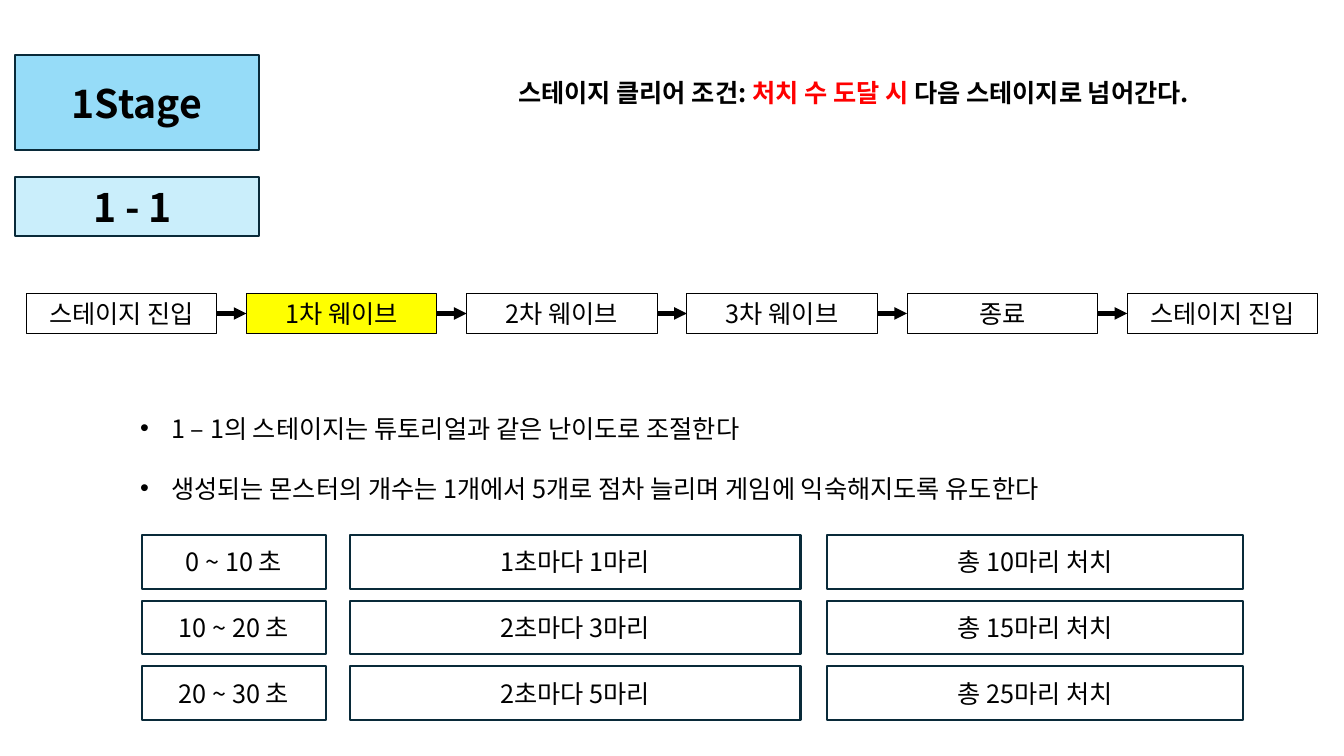
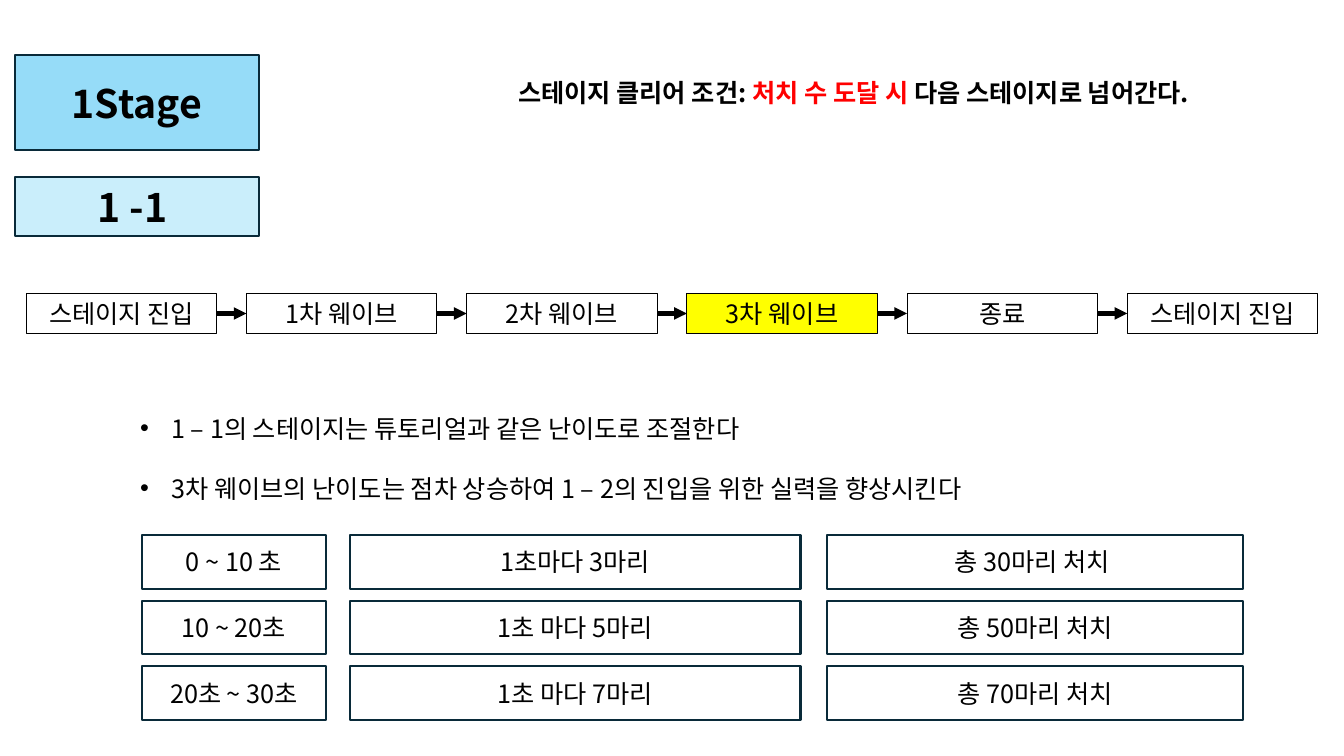
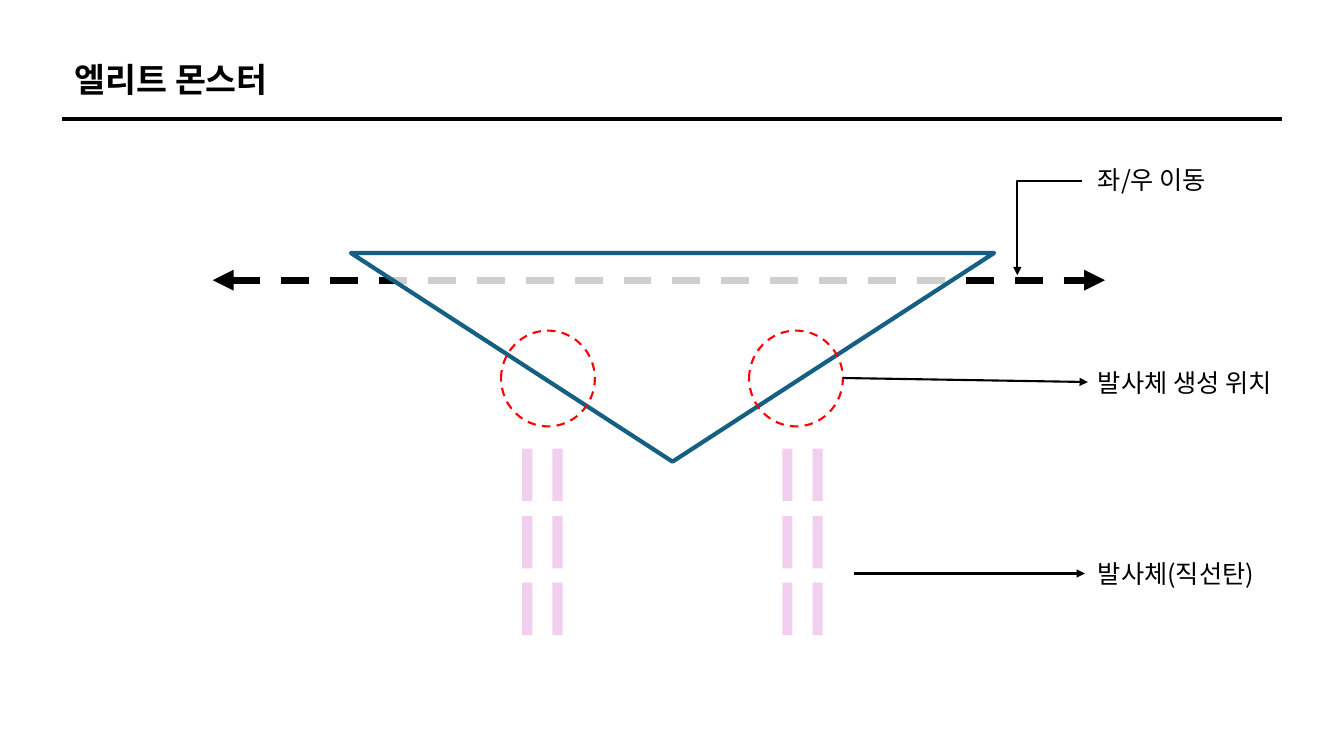
from lxml import etree
from pptx import Presentation
from pptx.dml.color import RGBColor
from pptx.enum.dml import MSO_LINE as Dash
from pptx.enum.shapes import MSO_CONNECTOR as Link, MSO_SHAPE as Kind
from pptx.enum.text import MSO_ANCHOR as Anchor, MSO_AUTO_SIZE as Fit, PP_ALIGN as Align
from pptx.oxml.ns import qn
from pptx.util import Inches, Pt

FONT = "Noto Sans CJK KR"
COLORS = {
    "black": "000000", "white": "FFFFFF", "red": "FF0000", "yellow": "FFFF00",
    "sky": "96DCF8", "pale": "CAEEFB", "navy": "092A39", "teal": "156082",
    "pink": "F2CFEE",
}


def color(name):
    return RGBColor.from_string(COLORS[name])


class Deck:
    """Holds the shared style and the current slide."""

    def __init__(self):
        self.prs = Presentation()
        self.prs.slide_width, self.prs.slide_height = Inches(13.33), Inches(7.5)
        self.slide = None

    def start(self):
        self.slide = self.prs.slides.add_slide(self.prs.slide_layouts[5])

    def style(self, frame, size, bold, align, anchor=Anchor.MIDDLE):
        frame.word_wrap = True
        frame.auto_size = Fit.NONE
        frame.vertical_anchor = anchor
        for para in frame.paragraphs:
            para.alignment = align
            for run in para.runs:
                font = run.font
                font.size, font.bold, font.name = Pt(size), bold, FONT
                font.color.rgb = color("black")
                east = etree.SubElement(run._r.get_or_add_rPr(), qn("a:ea"))
                east.set("typeface", FONT)

    def paint(self, shape, fill=None, line=None, width=1.5, dash=None):
        if fill:
            shape.fill.solid()
            shape.fill.fore_color.rgb = color(fill)
        else:
            shape.fill.background()
        if line:
            shape.line.color.rgb = color(line)
            shape.line.width = Pt(width)
            if dash:
                shape.line.dash_style = dash
        else:
            shape.line.fill.background()

    def title(self, text, box, size, align=Align.LEFT, fill=None, line=None):
        shape = self.slide.shapes.title
        shape.left, shape.top, shape.width, shape.height = map(Inches, box)
        shape.text_frame.text = text
        self.style(shape.text_frame, size, True, align)
        self.paint(shape, fill, line)

    def shape(self, box, fill=None, line=None, width=1.5, dash=None, kind=Kind.RECTANGLE):
        shape = self.slide.shapes.add_shape(kind, *map(Inches, box))
        shape.shadow.inherit = False
        self.paint(shape, fill, line, width, dash)
        return shape

    def box(self, text, box, fill=None, line="navy", width=1.5, size=18, bold=False):
        shape = self.shape(box, fill, line, width)
        shape.text_frame.text = text
        self.style(shape.text_frame, size, bold, Align.CENTER)
        return shape

    def label(self, parts, box, bold=False):
        """Writes one line from (text, colour) parts."""
        shape = self.slide.shapes.add_textbox(*map(Inches, box))
        para = shape.text_frame.paragraphs[0]
        for text, _ in parts:
            para.add_run().text = text
        self.style(shape.text_frame, 18, bold, Align.LEFT)
        for run, (_, tone) in zip(para.runs, parts):
            run.font.color.rgb = color(tone)
        return shape

    def bullets(self, lines, box):
        shape = self.slide.shapes.add_textbox(*map(Inches, box))
        frame = shape.text_frame
        frame.text = "\n".join(lines)
        self.style(frame, 18, False, Align.LEFT, Anchor.TOP)
        for para in frame.paragraphs:
            para.line_spacing = Pt(43)
            props = para._p.get_or_add_pPr()
            props.set("marL", str(Inches(0.31)))
            props.set("indent", str(-Inches(0.31)))
            etree.SubElement(props, qn("a:buFont")).set("typeface", "Arial")
            etree.SubElement(props, qn("a:buChar")).set("char", "•")

    def tips(self, shape, *ends):
        for end in ends:
            tip = etree.SubElement(shape.line._get_or_add_ln(), qn("a:" + end))
            tip.set("type", "triangle")

    def line(self, start, stop, width, ends=("tailEnd",), dash=None):
        line = self.slide.shapes.add_connector(Link.STRAIGHT, *map(Inches, start + stop))
        line.line.color.rgb = color("black")
        line.line.width = Pt(width)
        if dash:
            line.line.dash_style = dash
        self.tips(line, *ends)
        etree.SubElement(line._element.spPr, qn("a:effectLst"))
        return line

    def elbow(self, *points):
        first, *rest = [tuple(map(Inches, point)) for point in points]
        maker = self.slide.shapes.build_freeform(*first)
        maker.add_line_segments(rest, close=False)
        shape = maker.convert_to_shape()
        shape.shadow.inherit = False
        self.paint(shape, line="black")
        self.tips(shape, "tailEnd")


STEPS = ["스테이지 진입", "1차 웨이브", "2차 웨이브", "3차 웨이브", "종료", "스테이지 진입"]
COLUMNS = [(1.41, 1.82), (3.47, 4.47), (8.2, 4.13)]


def wave(deck, level, active, notes, rows):
    deck.start()
    # Stage, level and goal
    deck.title("1Stage", (0.15, 0.55, 2.42, 0.94), 28, Align.CENTER, "sky", "navy")
    deck.box(level, (0.15, 1.76, 2.42, 0.58), "pale", size=28, bold=True)
    deck.label([("스테이지 클리어 조건: ", "black"), ("처치 수 도달 시 ", "red"),
                ("다음 스테이지로 넘어간다.", "black")], (5.04, 0.72, 7.96, 0.4), True)
    # Flow of steps
    left, top, wide, high = 0.26, 2.91, 1.89, 0.4
    pitch = (11.18 - left) / (len(STEPS) - 1)
    last = None
    for i, step in enumerate(STEPS):
        x, mid = left + i * pitch, top + high / 2
        fill = "yellow" if i == active else None
        box = deck.box(step, (x, top, wide, high), fill, "black", 0.75)
        if last:
            arrow = deck.line((x - pitch + wide, mid), (x, mid), 3)
            arrow.begin_connect(last, 3)
            arrow.end_connect(box, 1)
        last = box
    # Notes and spawn grid
    deck.bullets(notes, (1.29, 3.75, 10.92, 1.82))
    for i, row in enumerate(rows):
        for text, (x, width) in zip(row, COLUMNS):
            deck.box(text, (x, 5.31 + i * 0.65, width, 0.53))


def elite(deck):
    deck.start()
    # Title and rule
    deck.title("엘리트 몬스터", (0.64, 0.53, 6.31, 0.5), 24)
    deck.line((0.62, 1.18), (12.72, 1.18), 2.75, ())
    # Shots
    for x in (5.18, 5.48, 7.76, 8.06):
        for y in (4.45, 5.12, 5.78):
            deck.shape((x, y, 0.1, 0.52), "pink")
    # Path and body
    deck.line((2.11, 2.78), (10.96, 2.78), 5, ("headEnd", "tailEnd"), Dash.DASH)
    body = deck.shape((3.48, 2.51, 6.38, 2.07), "white", "teal", 3,
                      kind=Kind.ISOSCELES_TRIANGLE)
    body.rotation = 180
    tone = body.fill._xPr.find(".//" + qn("a:srgbClr"))
    etree.SubElement(tone, qn("a:alpha")).set("val", "81000")
    # Muzzles
    for x in (4.97, 7.43):
        deck.shape((x, 3.28, 0.93, 0.95), line="red", dash=Dash.DASH, kind=Kind.OVAL)
    # Labels and pointers
    _, muzzle, _ = [deck.label([(text, "black")], (10.79, y, 2.35, 0.4)) for text, y in
                    (("좌/우 이동", 1.58), ("발사체 생성 위치", 3.59), ("발사체(직선탄)", 5.49))]
    deck.elbow((10.73, 1.8), (10.09, 1.8), (10.09, 2.73))
    deck.line((8.36, 3.75), (10.79, 3.79), 1.5).end_connect(muzzle, 1)
    deck.line((8.47, 5.69), (10.76, 5.69), 1.5)


def main():
    deck = Deck()
    intro = "1 – 1의 스테이지는 튜토리얼과 같은 난이도로 조절한다"
    wave(deck, "1 - 1 ", 1,
         [intro, "생성되는 몬스터의 개수는 1개에서 5개로 점차 늘리며 게임에 익숙해지도록 유도한다"],
         [("0 ~ 10 초", "1초마다 1마리", "총 10마리 처치"),
          ("10 ~ 20 초", "2초마다 3마리", "총 15마리 처치"),
          ("20 ~ 30 초", "2초마다 5마리", "총 25마리 처치")])
    wave(deck, "1 -1 ", 3,
         [intro, "3차 웨이브의 난이도는 점차 상승하여 1 – 2의 진입을 위한 실력을 향상시킨다"],
         [("0 ~ 10 초", "1초마다 3마리", "총 30마리 처치 "),
          ("10 ~ 20초", "1초 마다 5마리", "총 50마리 처치"),
          ("20초 ~ 30초", "1초 마다 7마리", "총 70마리 처치")])
    elite(deck)
    deck.prs.save("out.pptx")


if __name__ == "__main__":
    main()
